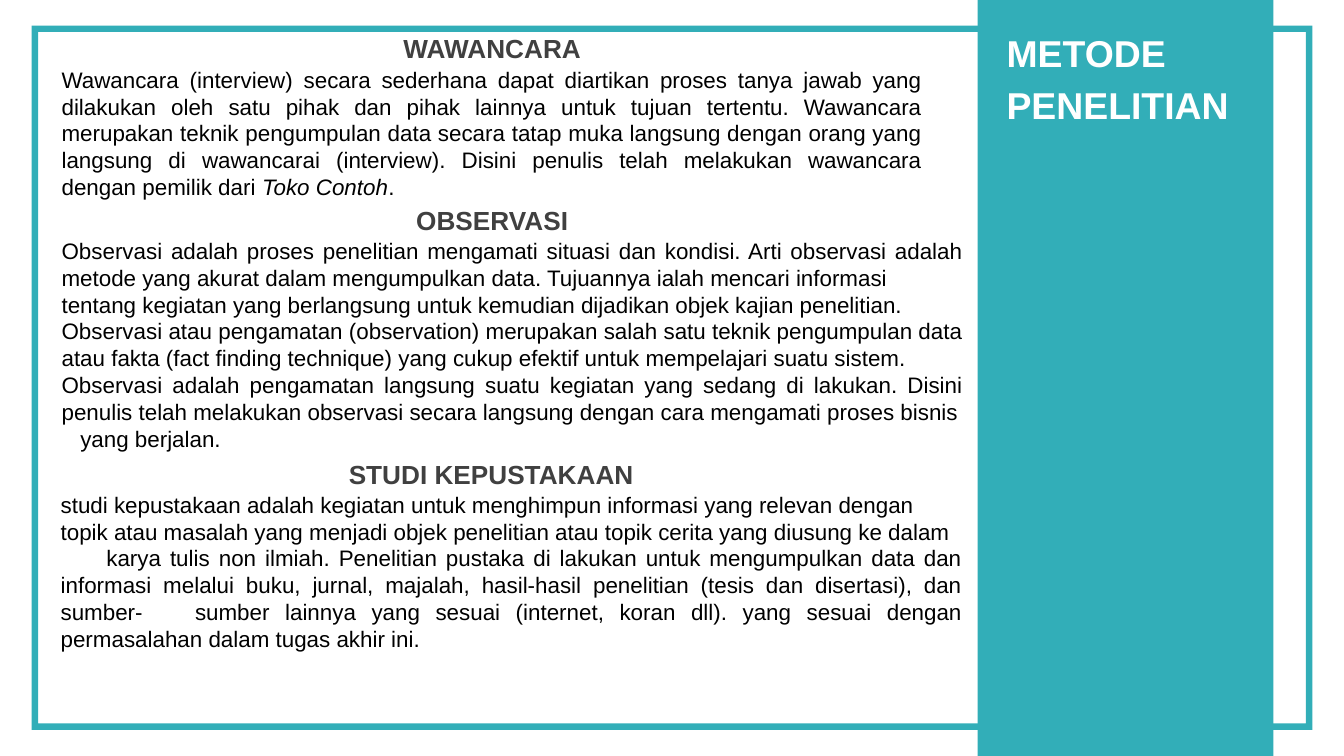
from pptx import Presentation
from pptx.dml.color import RGBColor
from pptx.enum.shapes import MSO_SHAPE
from pptx.enum.text import MSO_ANCHOR, MSO_AUTO_SIZE, PP_ALIGN
from pptx.oxml.ns import qn
from pptx.util import Pt
from lxml import etree

FRAME, RECTANGLE = MSO_SHAPE.FRAME, MSO_SHAPE.RECTANGLE
LEFT, CENTER, JUSTIFY = PP_ALIGN.LEFT, PP_ALIGN.CENTER, PP_ALIGN.JUSTIFY
TOP, NO_FIT = MSO_ANCHOR.TOP, MSO_AUTO_SIZE.NONE

FONT = "Arial"
TEAL, WHITE, BLACK, GRAY = "32AEB8", "FFFFFF", "000000", "404040"
WIDTH, HEIGHT = 720, 405
HEADING_WIDTH, HEADING_HEIGHT = 475.5, 23
BODY_LINE = 14.4
TAB_STOP = 79

TITLE = "METODE\nPENELITIAN"
PANELS = [
    (FRAME, (17, 13.7, 686, 377.3)),
    (RECTANGLE, (523.7, 0, 158.5, HEIGHT)),
]
SECTIONS = [
    {
        "heading": "WAWANCARA", "left": 25.9, "heading_top": 13.7,
        "body_top": 31.7, "body_size": (475.5, 94.3),
        "paragraphs": [
            (0, ["Wawancara (interview) secara sederhana dapat diartikan proses "
                 "tanya jawab yang dilakukan oleh satu pihak dan pihak lainnya untuk "
                 "tujuan tertentu. Wawancara merupakan teknik pengumpulan data secara "
                 "tatap muka langsung dengan orang yang langsung di wawancarai "
                 "(interview). Disini penulis telah melakukan wawancara dengan "
                 "pemilik dari ", "Toko Contoh", "."]),
        ],
    },
    {
        "heading": "OBSERVASI", "left": 25.9, "heading_top": 105.8,
        "body_top": 123.4, "body_size": (497.5, 123.8),
        "paragraphs": [
            (0, ["Observasi adalah proses penelitian mengamati situasi dan kondisi. "
                 "Arti observasi adalah metode yang akurat dalam mengumpulkan data. "
                 "Tujuannya ialah mencari informasi"]),
            (0, ["tentang kegiatan yang berlangsung untuk kemudian dijadikan objek "
                 "kajian penelitian."]),
            (0, ["Observasi atau pengamatan (observation) merupakan salah satu teknik "
                 "pengumpulan data atau fakta (fact finding technique) yang cukup "
                 "efektif untuk mempelajari suatu sistem."]),
            (0, ["Observasi adalah pengamatan langsung suatu kegiatan yang sedang di "
                 "lakukan. Disini penulis telah melakukan observasi secara langsung "
                 "dengan cara mengamati proses bisnis"]),
            (10, ["yang berjalan."]),
        ],
    },
    {
        "heading": "STUDI KEPUSTAKAAN", "left": 25.4, "heading_top": 242,
        "body_top": 259.4, "body_size": (497.5, 94.3),
        "paragraphs": [
            (0, ["studi kepustakaan adalah kegiatan untuk menghimpun informasi yang "
                 "relevan dengan"]),
            (0, ["topik atau masalah yang menjadi objek penelitian atau topik cerita "
                 "yang diusung ke dalam"]),
            (24.5, ["karya tulis non ilmiah. Penelitian pustaka di lakukan untuk "
                    "mengumpulkan data dan informasi melalui buku, jurnal, majalah, "
                    "hasil-hasil penelitian (tesis dan disertasi), dan sumber-\tsumber "
                    "lainnya yang sesuai (internet, koran dll). yang sesuai dengan "
                    "permasalahan dalam tugas akhir ini."]),
        ],
    },
]


def color(value):
    """Return the colour for a hex string."""
    return RGBColor.from_string(value)


def format_runs(paragraph, size, value, bold=False):
    """Apply one font to every run of a paragraph."""
    for run in paragraph.runs:
        run.font.name, run.font.size, run.font.bold = FONT, Pt(size), bold
        run.font.color.rgb = color(value)


def add_panel(slide, kind, box):
    """Add a teal shape without outline."""
    shape = slide.shapes.add_shape(kind, *map(Pt, box))
    shape.shadow.inherit = False
    shape.fill.solid()
    shape.fill.fore_color.rgb = color(TEAL)
    shape.line.fill.background()
    if kind == FRAME:
        shape.adjustments[0] = 0.009


def add_text_frame(slide, *box):
    """Add a wrapping text box and return its text frame."""
    text_frame = slide.shapes.add_textbox(*map(Pt, box)).text_frame
    text_frame.word_wrap = True
    return text_frame


def indent_first_line(paragraph, indent):
    """Set the first-line indent and the tab stop of a paragraph."""
    properties = paragraph._p.get_or_add_pPr()
    properties.set("marL", "0")
    properties.set("indent", str(int(Pt(indent))))
    tabs = etree.SubElement(properties, qn("a:tabLst"))
    etree.SubElement(tabs, qn("a:tab"), pos=str(int(Pt(TAB_STOP))), algn="l")


def add_section(slide, section):
    """Add the heading and body text of one research method."""
    left = section["left"]
    body = add_text_frame(slide, left, section["body_top"], *section["body_size"])
    for index, (indent, texts) in enumerate(section["paragraphs"]):
        paragraph = body.add_paragraph() if index else body.paragraphs[0]
        for text in texts:
            paragraph.add_run().text = text
        paragraph.alignment = JUSTIFY
        paragraph.line_spacing = Pt(BODY_LINE)
        format_runs(paragraph, 12, BLACK)
        if len(texts) > 1:
            paragraph.runs[1].font.italic = True
        if indent:
            indent_first_line(paragraph, indent)
    heading = add_text_frame(slide, left, section["heading_top"],
                             HEADING_WIDTH, HEADING_HEIGHT)
    heading.text = section["heading"]
    heading.paragraphs[0].alignment = CENTER
    format_runs(heading.paragraphs[0], 14, GRAY, bold=True)


def place_title(slide):
    """Format the title and bring it in front of the panels."""
    title = slide.shapes.title
    title.left, title.top, title.width, title.height = map(Pt, (532, 12.5, 142, 63))
    text_frame = title.text_frame
    text_frame.text = TITLE
    text_frame.vertical_anchor = TOP
    text_frame.auto_size = NO_FIT
    text_frame.word_wrap = True
    for paragraph in text_frame.paragraphs:
        paragraph.alignment = LEFT
        paragraph.line_spacing = Pt(24)
        paragraph.space_before, paragraph.space_after = Pt(0), Pt(4)
        format_runs(paragraph, 20, WHITE, bold=True)
    slide.shapes.element.append(title.element)


def main():
    """Build the research methods slide."""
    presentation = Presentation()
    presentation.slide_width, presentation.slide_height = Pt(WIDTH), Pt(HEIGHT)
    slide = presentation.slides.add_slide(presentation.slide_layouts[5])
    for kind, box in PANELS:
        add_panel(slide, kind, box)
    place_title(slide)
    for section in SECTIONS:
        add_section(slide, section)
    presentation.save("out.pptx")


if __name__ == "__main__":
    main()
